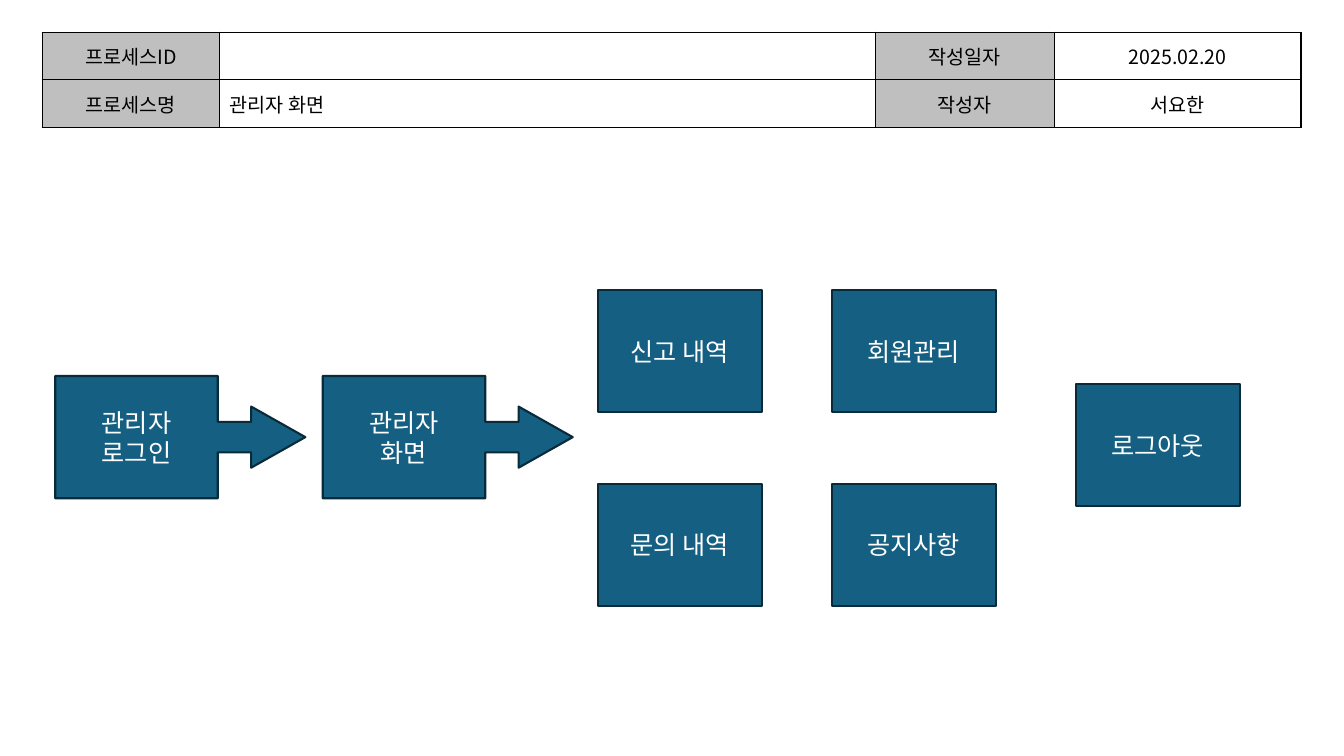
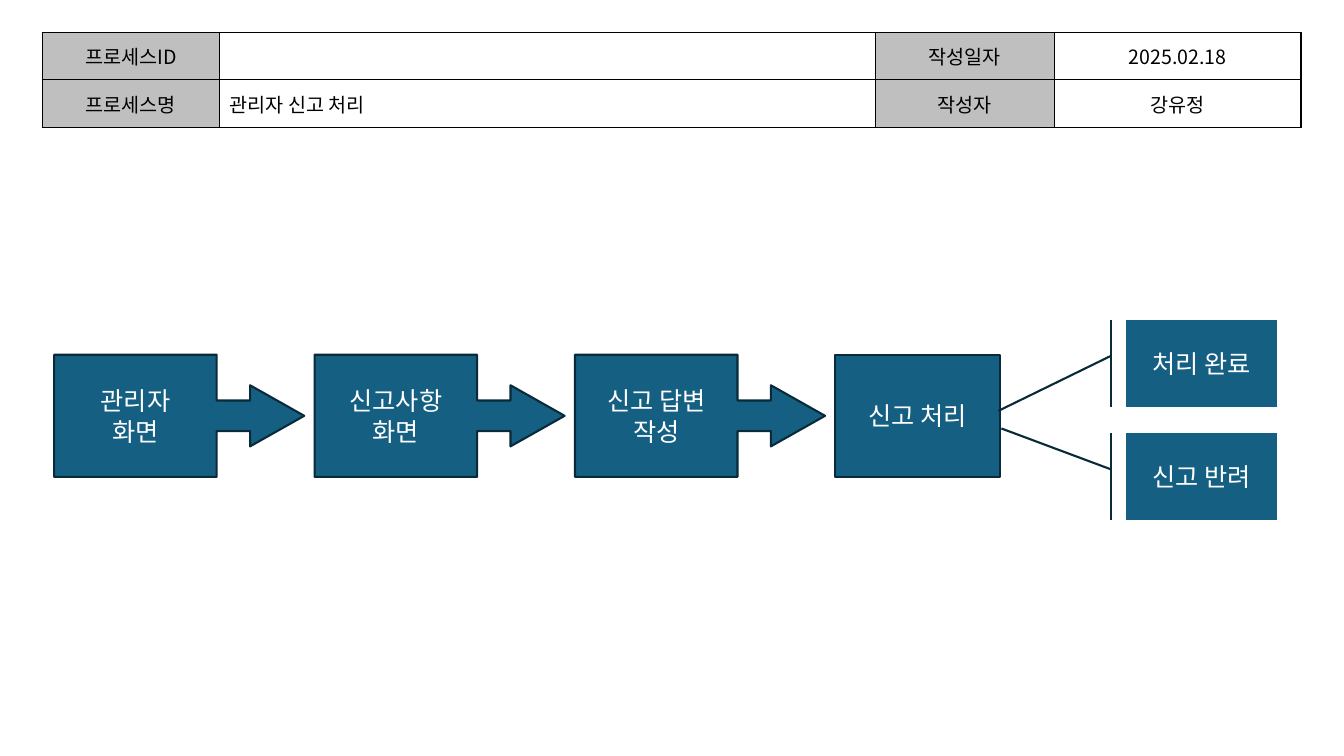
from dataclasses import dataclass

from lxml.etree import SubElement
from pptx import Presentation
from pptx.dml.color import RGBColor
from pptx.enum.shapes import MSO_SHAPE
from pptx.enum.text import MSO_ANCHOR, PP_ALIGN
from pptx.oxml.ns import qn
from pptx.util import Pt


@dataclass(frozen=True)
class Theme:
    font: str = "Noto Sans CJK KR"
    table_size: int = 14
    step_size: int = 18
    ink: str = "000000"
    paper: str = "FFFFFF"
    label_fill: str = "BFBFBF"
    step_fill: str = "156082"
    step_line: str = "092A39"
    border_width: float = 1
    line_width: float = 1.5


THEME = Theme()

SLIDE_SIZE = (960, 540)
TABLE_LEFT, TABLE_TOP = 30.2, 23
COLUMN_WIDTHS = (126.7, 468.7, 127.4, 176.4)
ROW_HEIGHTS = (34, 34, 423)

STEP_SIZE = (117.4, 87.3)
ARROW_SIZE = (178.6, 87.3)
OUTCOME_SIZE = (108, 62)
ARROW_ADJUSTMENTS = (0.25, 0.25, 0.443, 0.65)

ADMIN_HEADER = {"name": "관리자 화면", "date": "2025.02.20", "author": "서요한"}
ADMIN_STEPS = ("관리자\n로그인", "관리자\n화면")
ADMIN_MENU = (("신고 내역", "회원관리"), ("문의 내역", "공지사항"))
ADMIN_EXIT = "로그아웃"

REPORT_HEADER = {"name": "관리자 신고 처리", "date": "2025.02.18", "author": "강유정"}
REPORT_STEPS = ("관리자\n화면", "신고사항\n화면", "신고 답변\n작성")
REPORT_DECISION = "신고 처리"
REPORT_OUTCOMES = (
    ("처리 완료", (0.417, -0.099, 1.051, -0.844)),
    ("신고 반려", (0.417, -0.099, -0.054, -0.823)),
)


def color(value):
    return RGBColor.from_string(value)


def write(frame, text, size, ink, align):
    frame.text = text
    for paragraph in frame.paragraphs:
        paragraph.alignment = align
        paragraph.font.name = THEME.font
        paragraph.font.size = Pt(size)
        paragraph.font.color.rgb = color(ink)
        defaults = paragraph._p.get_or_add_pPr().get_or_add_defRPr()
        SubElement(defaults, qn("a:ea"), typeface=THEME.font)


def set_borders(cell, visible_sides):
    properties = cell._tc.get_or_add_tcPr()
    for side in "LRTB":
        line = SubElement(properties, qn(f"a:ln{side}"), w=str(Pt(THEME.border_width)))
        if side in visible_sides:
            fill = SubElement(line, qn("a:solidFill"))
            SubElement(fill, qn("a:srgbClr"), val=THEME.ink)
        else:
            SubElement(line, qn("a:noFill"))


def add_header(page, header):
    """Add the document table: two rows of details above an open merged area."""
    rows = (
        ("프로세스ID", "", "작성일자", header["date"]),
        ("프로세스명", header["name"], "작성자", header["author"]),
        ("",) * len(COLUMN_WIDTHS),
    )
    table = page.shapes.add_table(
        len(rows), len(COLUMN_WIDTHS), Pt(TABLE_LEFT), Pt(TABLE_TOP),
        Pt(sum(COLUMN_WIDTHS)), Pt(sum(ROW_HEIGHTS)),
    ).table
    table.first_row = table.horz_banding = False
    for column, width in zip(table.columns, COLUMN_WIDTHS):
        column.width = Pt(width)
    for row, height in zip(table.rows, ROW_HEIGHTS):
        row.height = Pt(height)

    last_row = len(rows) - 1
    for row_index, texts in enumerate(rows):
        for column_index, text in enumerate(texts):
            cell = table.cell(row_index, column_index)
            is_label = column_index % 2 == 0 and row_index < last_row
            set_borders(cell, "T" if row_index == last_row else "LRTB")
            if is_label:
                cell.fill.solid()
                cell.fill.fore_color.rgb = color(THEME.label_fill)
            else:
                cell.fill.background()
            cell.vertical_anchor = MSO_ANCHOR.MIDDLE
            align = PP_ALIGN.LEFT if column_index == 1 else PP_ALIGN.CENTER
            write(cell.text_frame, text, THEME.table_size, THEME.ink, align)
    table.cell(last_row, 0).merge(table.cell(last_row, len(COLUMN_WIDTHS) - 1))


def add_box(page, text, left, top, size=STEP_SIZE,
            kind=MSO_SHAPE.FLOWCHART_PROCESS, adjustments=()):
    box = page.shapes.add_shape(kind, Pt(left), Pt(top), *map(Pt, size))
    for index, value in enumerate(adjustments):
        box.adjustments[index] = value
    box.shadow.inherit = False
    box.fill.solid()
    box.fill.fore_color.rgb = color(THEME.step_fill)
    box.line.color.rgb = color(THEME.step_line)
    box.line.width = Pt(THEME.line_width)
    box.text_frame.vertical_anchor = MSO_ANCHOR.MIDDLE
    write(box.text_frame, text, THEME.step_size, THEME.paper, PP_ALIGN.CENTER)


def add_arrow_steps(page, steps, left, top, pitch):
    for index, text in enumerate(steps):
        add_box(page, text, left + index * pitch, top, ARROW_SIZE,
                MSO_SHAPE.RIGHT_ARROW_CALLOUT, ARROW_ADJUSTMENTS)


def add_page(deck, header):
    page = deck.slides.add_slide(deck.slide_layouts[6])
    add_header(page, header)
    return page


def build_admin_page(deck):
    page = add_page(deck, ADMIN_HEADER)
    add_arrow_steps(page, ADMIN_STEPS, left=39.5, top=268.6, pitch=191)
    for row_index, row in enumerate(ADMIN_MENU):
        for column_index, text in enumerate(row):
            add_box(page, text, 427 + column_index * 167, 207.3 + row_index * 138.3)
    add_box(page, ADMIN_EXIT, 768.3, 274.4)


def build_report_page(deck):
    page = add_page(deck, REPORT_HEADER)
    left, top, pitch = 38.7, 253.4, 186
    add_arrow_steps(page, REPORT_STEPS, left, top, pitch)
    add_box(page, REPORT_DECISION, left + len(REPORT_STEPS) * pitch, top)
    for index, (text, adjustments) in enumerate(REPORT_OUTCOMES):
        add_box(page, text, 804.2, 228.4 + index * 81, OUTCOME_SIZE,
                MSO_SHAPE.LINE_CALLOUT_1_ACCENT_BAR, adjustments)


def main():
    deck = Presentation()
    deck.slide_width, deck.slide_height = map(Pt, SLIDE_SIZE)
    build_admin_page(deck)
    build_report_page(deck)
    deck.save("out.pptx")


if __name__ == "__main__":
    main()
